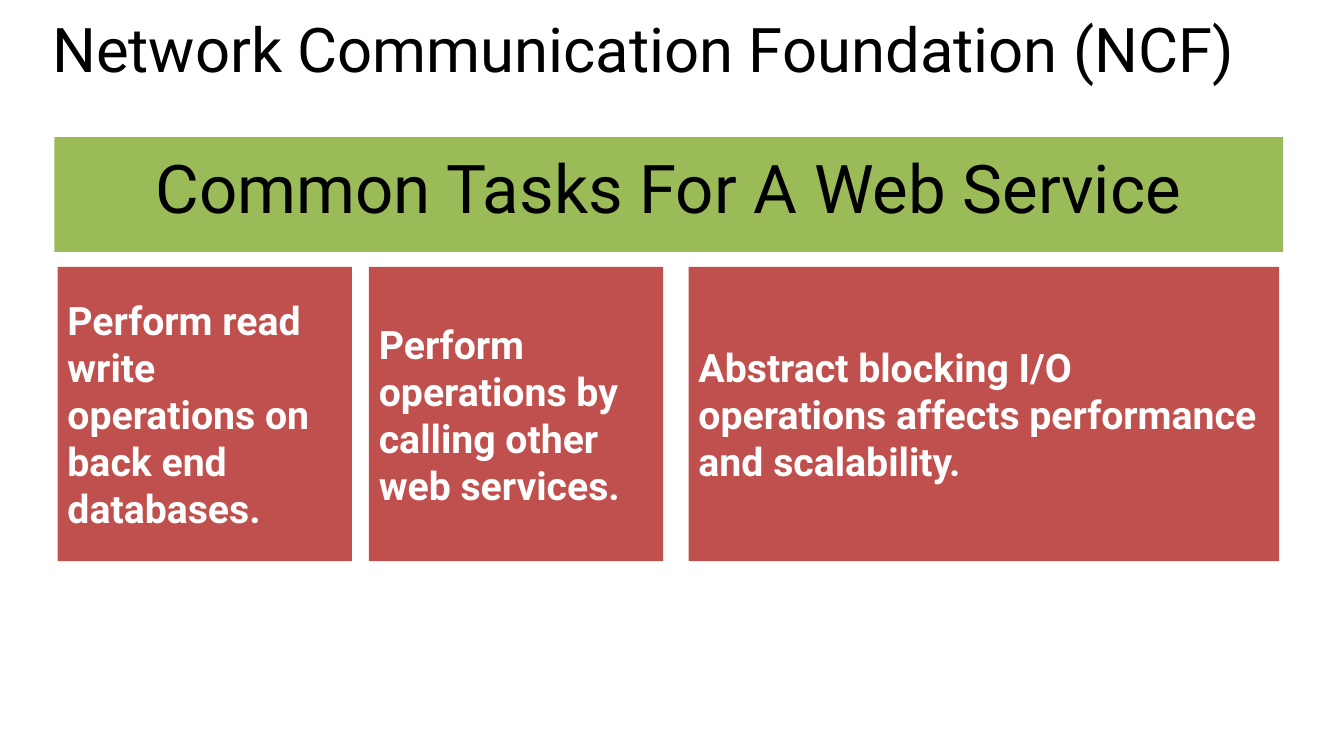
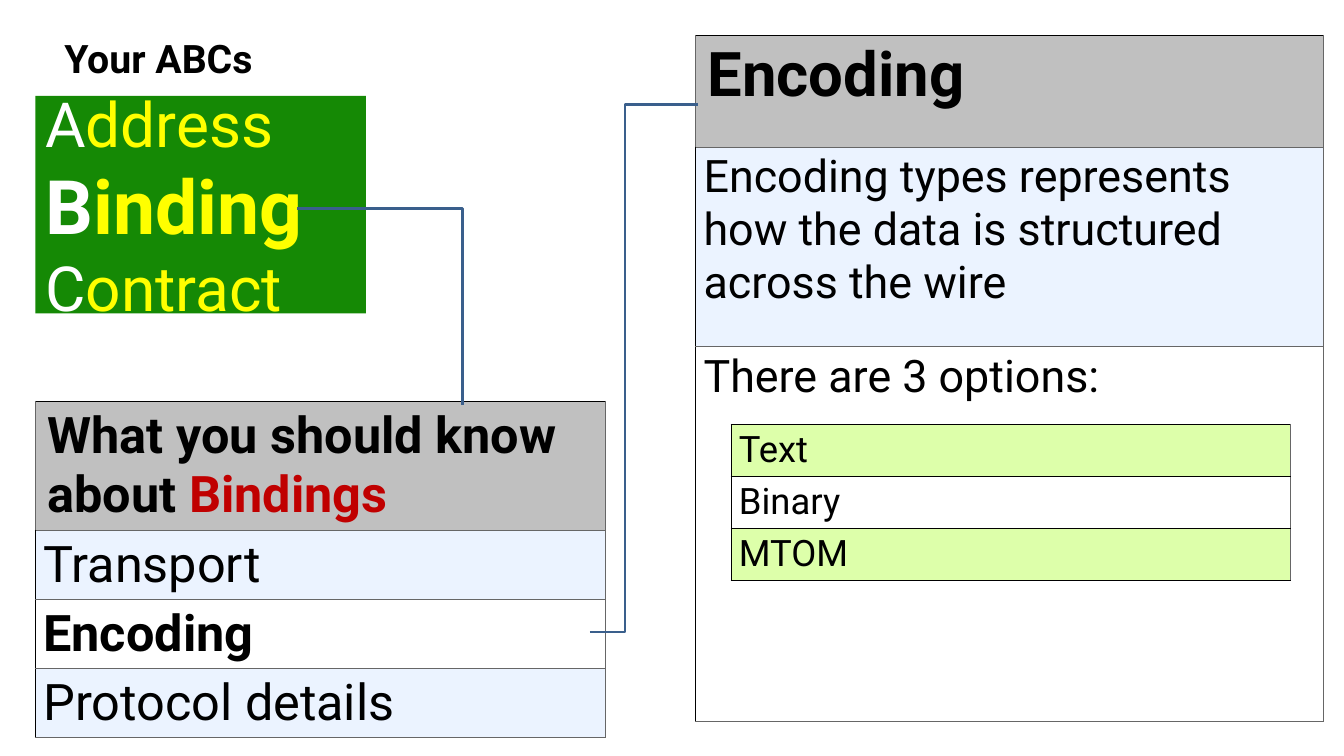
import dataclasses
import typing

import lxml.etree
import pptx
import pptx.dml.color
import pptx.enum.shapes
import pptx.enum.text
import pptx.oxml.ns
import pptx.util

WIDE = pptx.util.Inches(13.33)
HIGH = pptx.util.Inches(7.5)
FONT = "Roboto"
BLACK, WHITE, YELLOW = "000000", "FFFFFF", "FFFF00"
GRAY, EDGE, PALE = "C0C0C0", "666666", "EBF3FF"
RED, GREEN, LIME, OLIVE = "C0504D", "158905", "DDFFAA", "9BBB59"
DEEP, BLUE = "C00000", "3A5F8C"
ALIGN = pptx.enum.text.PP_ALIGN
ANCHOR = pptx.enum.text.MSO_ANCHOR


@dataclasses.dataclass(frozen=True)
class Run:
    text: str
    size: float
    color: str = BLACK
    bold: bool = False


@dataclasses.dataclass(frozen=True)
class Box:
    left: float
    top: float
    width: float
    height: float


@dataclasses.dataclass(frozen=True)
class Row:
    height: float
    fill: str
    runs: tuple[Run, ...]
    inset: float = 0.08


Lines = typing.Sequence[typing.Sequence[Run]]


def across(share: float) -> int:
    return round(WIDE * share / 100)


def down(share: float) -> int:
    return round(HIGH * share / 100)


def place(box: Box) -> tuple[int, int, int, int]:
    return across(box.left), down(box.top), across(box.width), down(box.height)


def paint(target: typing.Any, color: str) -> None:
    target.solid()
    target.fore_color.rgb = pptx.dml.color.RGBColor.from_string(color)


def write(frame: typing.Any, lines: Lines, align: typing.Any = ALIGN.LEFT,
          space: float = 1.0) -> None:
    for index, line in enumerate(lines):
        para = frame.add_paragraph() if index else frame.paragraphs[0]
        para.alignment = align
        para.line_spacing = space
        for item in line:
            run = para.add_run()
            run.text = item.text
            run.font.name = FONT
            run.font.size = pptx.util.Pt(item.size)
            run.font.bold = item.bold
            paint(run.font.fill, item.color)


def add_label(slide: typing.Any, box: Box, run: Run, space: float = 1.0) -> None:
    frame = slide.shapes.add_textbox(*place(box)).text_frame
    frame.word_wrap = True
    write(frame, [[run]], space=space)


def add_panel(slide: typing.Any, box: Box, fill: str, lines: Lines,
              align: typing.Any = ALIGN.LEFT, space: float = 1.0) -> None:
    kind = pptx.enum.shapes.MSO_SHAPE.RECTANGLE
    panel = slide.shapes.add_shape(kind, *place(box))
    panel.shadow.inherit = False
    paint(panel.fill, fill)
    panel.line.fill.background()
    panel.text_frame.word_wrap = True
    panel.text_frame.vertical_anchor = ANCHOR.MIDDLE
    write(panel.text_frame, lines, align, space)


def add_edges(cell: typing.Any, colors: dict[str, str]) -> None:
    name = pptx.oxml.ns.qn
    props = cell._tc.get_or_add_tcPr()
    for index, (side, color) in enumerate(colors.items()):
        edge = lxml.etree.Element(name("a:" + side), w=str(pptx.util.Pt(0.6)))
        fill = lxml.etree.SubElement(edge, name("a:solidFill"))
        lxml.etree.SubElement(fill, name("a:srgbClr"), val=color)
        props.insert(index, edge)


def add_list(slide: typing.Any, left: float, top: float, width: float,
             rows: typing.Sequence[Row], anchor: typing.Any = ANCHOR.MIDDLE,
             inner: str = EDGE) -> None:
    box = Box(left, top, width, sum(row.height for row in rows))
    table = slide.shapes.add_table(len(rows), 1, *place(box)).table
    table.first_row = table.horz_banding = False
    for index, row in enumerate(rows):
        table.rows[index].height = down(row.height)
        cell = table.cell(index, 0)
        cell.vertical_anchor = anchor
        cell.margin_left = cell.margin_right = pptx.util.Inches(row.inset)
        cell.margin_top = cell.margin_bottom = pptx.util.Inches(0.04)
        paint(cell.fill, row.fill)
        add_edges(cell, {
            "lnL": BLACK if index else inner,
            "lnR": EDGE,
            "lnT": inner if index else BLACK,
            "lnB": inner,
        })
        write(cell.text_frame, [row.runs])


def add_route(slide: typing.Any, *points: tuple[float, float]) -> None:
    spots = [(across(left), down(top)) for left, top in points]
    maker = slide.shapes.build_freeform(*spots[0])
    maker.add_line_segments(spots[1:], close=False)
    route = maker.convert_to_shape()
    route.shadow.inherit = False
    route.fill.background()
    paint(route.line.fill, BLUE)
    route.line.width = pptx.util.Pt(2)


def draw_tasks(slide: typing.Any) -> None:
    add_label(slide, Box(3.15, 2.67, 94.5, 15.47),
              Run("Network Communication Foundation (NCF)", 44), 0.8)
    add_panel(slide, Box(4.05, 18.13, 91.43, 15.2), OLIVE,
              [[Run("Common Tasks For A Web Service", 48)]], ALIGN.CENTER, 0.8)
    cards = (
        (4.28, 21.9, "Perform read write operations on back end databases."),
        (27.45, 21.9, "Perform operations by calling other web services."),
        (51.23, 43.95, "Abstract blocking I/O operations affects performance and scalability."),
    )
    for left, width, text in cards:
        add_panel(slide, Box(left, 35.3, width, 38.93), RED,
                  [[Run(text, 28, WHITE, True)]])


def draw_codes(slide: typing.Any) -> None:
    add_label(slide, Box(4.05, 3.87, 33.83, 20.1), Run("Your ABCs", 28, bold=True))
    words = (("Address", 44.4, False), ("Binding", 53.6, True), ("Contract", 44.4, False))
    add_panel(slide, Box(2.63, 12.67, 24.6, 28.8), GREEN, [
        [Run(word[0], size, WHITE, bold), Run(word[1:], size, YELLOW, bold)]
        for word, size, bold in words
    ])

    head = (Run("What you should know about ", 36, bold=True),
            Run("Bindings", 36, DEEP, True))
    add_list(slide, 2.63, 53.07, 42.38, [
        Row(16.93, GRAY, head, 0.12),
        Row(9.15, PALE, (Run("Transport", 36),)),
        Row(9.15, WHITE, (Run("Encoding", 36, bold=True),)),
        Row(9.15, PALE, (Run("Protocol details", 36),)),
    ])
    add_route(slide, (22.13, 27.6), (34.43, 27.6), (34.43, 53.6))

    about = "Encoding types represents how the data is structured across the wire"
    add_list(slide, 51.75, 4.67, 46.73, [
        Row(14.8, GRAY, (Run("Encoding", 44, bold=True),), 0.12),
        Row(26.4, PALE, (Run(about, 32),)),
        Row(49.6, WHITE, (Run("There are 3 options:", 32),)),
    ], ANCHOR.TOP)
    kinds = (("Text", LIME), ("Binary", WHITE), ("MTOM", LIME))
    add_list(slide, 54.38, 56.13, 41.63,
             [Row(6.88, fill, (Run(text, 26),)) for text, fill in kinds],
             inner=BLACK)
    add_route(slide, (43.88, 83.6), (46.5, 83.6), (46.5, 13.87), (51.9, 13.87))


def main() -> None:
    deck = pptx.Presentation()
    deck.slide_width, deck.slide_height = WIDE, HIGH
    for draw in (draw_tasks, draw_codes):
        slide = deck.slides.add_slide(deck.slide_layouts[6])
        paint(slide.background.fill, WHITE)
        draw(slide)
    deck.save("out.pptx")


if __name__ == "__main__":
    main()
